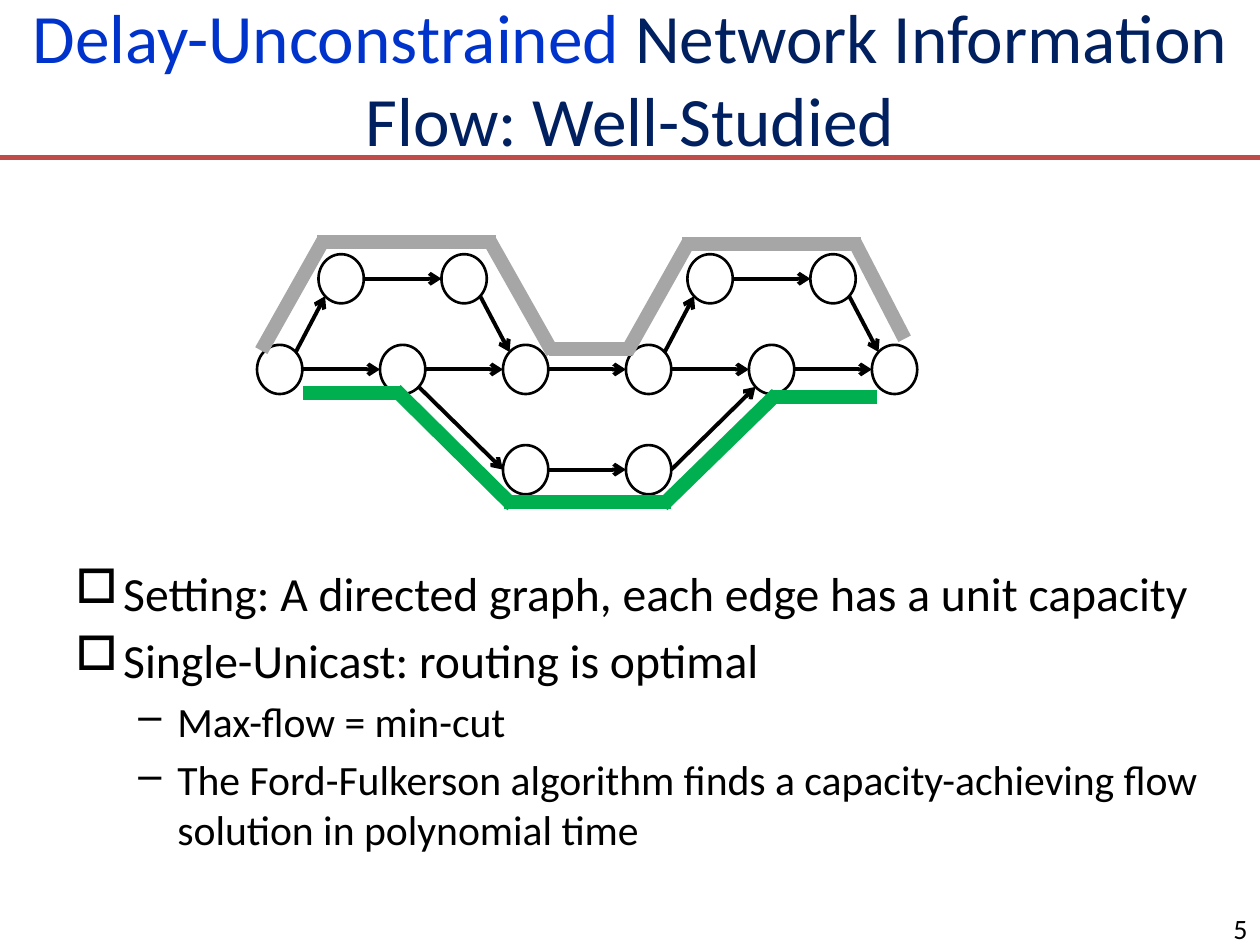
from itertools import pairwise
from pptx import Presentation, util as u
from pptx.dml.color import RGBColor
from pptx.enum import shapes, text
from pptx.oxml.ns import qn
from lxml import etree

W, H = u.Inches(10), u.Inches(7.5)
HUES = {"ink": "000000", "navy": "002060", "blue": "0033CC",
        "rule": "BF4C48", "green": "00B050", "gray": "A6A6A6"}
ROWS = {"top": 0, "mid": 0.475, "low": 1}
NODES = {"top": (1, 3, 7, 9), "mid": (0, 2, 4, 6, 8, 10), "low": (4, 6)}
SIDES = {"E": (1, 0), "W": (-1, 0), "NE": (0.71, -0.71), "NW": (-0.71, -0.71),
         "SE": (0.71, 0.71), "SW": (-0.71, 0.71)}
SLOPES = [((0, "mid", "NE"), (1, "top", "SW")),
          ((3, "top", "SE"), (4, "mid", "NW")),
          ((6, "mid", "NE"), (7, "top", "SW")),
          ((9, "top", "SE"), (10, "mid", "NW")),
          ((2, "mid", "SE"), (4, "low", "W")),
          ((6, "low", "E"), (8, "mid", "SW"))]
ROUTES = {
    "green": [(0.43, 0.6), (1.94, 0.6), (3.73, 1.17), (6.28, 1.17),
              (8.03, 0.62), (9.67, 0.62)],
    "gray": [(-0.27, 0.36), (0.69, -0.19), (3.43, -0.19), (4.41, 0.37),
             (5.67, 0.37), (6.63, -0.18), (9.37, -0.18), (10.14, 0.3)]}
POINTS = [(0, "Setting: A directed graph, each edge has a unit capacity"),
          (0, "Single-Unicast: routing is optimal"),
          (1, "Max-flow = min-cut"),
          (1, "The Ford-Fulkerson algorithm finds a capacity-achieving flow "
              "solution in polynomial time")]
LEVELS = [("□", 27.2, 0.38, -0.38), ("–", 23.8, 0.81, -0.31)]


def color(name):
    """Return the named colour."""
    return RGBColor.from_string(HUES[name])


def scale(x, y, w, h):
    """Turn shares of the slide into a box of lengths."""
    return int(x * W), int(y * H), int(w * W), int(h * H)


def style(font, size, hue):
    """Set the face, size and colour of a font."""
    font.name, font.size = "Calibri", u.Pt(size)
    font.color.rgb = color(hue)


def frame(slide, box, anchor):
    """Add a wrapping text box and return its text frame."""
    body = slide.shapes.add_textbox(*box).text_frame
    body.word_wrap, body.vertical_anchor = True, anchor
    return body


def line(slide, start, end, hue, width, arrow=False):
    """Draw a straight line, with an arrowhead if asked."""
    ends = [int(n) for n in (*start, *end)]
    link = slide.shapes.add_connector(shapes.MSO_CONNECTOR.STRAIGHT, *ends)
    link.line.color.rgb, link.line.width = color(hue), u.Pt(width)
    if arrow:
        etree.SubElement(link.line._get_or_add_ln(), qn("a:tailEnd"), type="arrow")
    etree.SubElement(link._element.spPr, qn("a:effectLst"))


def title(slide, box):
    """Place the two-tone title and the rule below it."""
    x, y, w, h = box
    para = frame(slide, box, text.MSO_ANCHOR.MIDDLE).paragraphs[0]
    para.alignment = text.PP_ALIGN.CENTER
    for words, hue in (("Delay-Unconstrained", "blue"),
                       (" Network Information Flow: Well-Studied", "navy")):
        run = para.add_run()
        run.text = words
        style(run.font, 39.6, hue)
    base = y + h * 1.025
    line(slide, (x, base), (x + w, base), "rule", 3)


def graph(slide, box):
    """Draw the nodes, the edges and the two routes on a grid of centres."""
    x, y, w, h = box
    col, rx, ry = w / 10, u.Inches(0.18), u.Inches(0.195)

    def spot(c, r):
        return x + c * col, y + r * h

    def port(c, row, side):
        cx, cy = spot(c, ROWS[row])
        dx, dy = SIDES[side]
        return cx + dx * rx, cy + dy * ry

    for row, cols in NODES.items():
        for c in cols:
            cx, cy = spot(c, ROWS[row])
            node = slide.shapes.add_shape(
                shapes.MSO_SHAPE.OVAL, int(cx - rx), int(cy - ry), 2 * rx, 2 * ry)
            node.shadow.inherit = False
            node.fill.background()
            node.line.color.rgb, node.line.width = color("ink"), u.Pt(1.5)
    flats = [((a, row, "E"), (b, row, "W")) for row, cols in NODES.items()
             for a, b in pairwise(cols) if b - a == 2]
    for start, end in flats + SLOPES:
        line(slide, port(*start), port(*end), "ink", 2.25, True)
    for hue, stops in ROUTES.items():
        for (a, b), (c, d) in pairwise(stops):
            dx, dy = 0.03 * (c - a), 0.03 * (d - b)
            line(slide, spot(a - dx, b - dy), spot(c + dx, d + dy), hue, 8)


def points(slide, box):
    """Write the bulleted list."""
    body = frame(slide, box, text.MSO_ANCHOR.TOP)
    for i, (level, words) in enumerate(POINTS):
        mark, size, left, hang = LEVELS[level]
        para = body.paragraphs[0] if i == 0 else body.add_paragraph()
        para.text, para.level = words, level
        para.space_before = u.Pt(0.2 * size if i else 0)
        props = para._p.get_or_add_pPr()
        props.set("marL", str(u.Inches(left)))
        props.set("indent", str(u.Inches(hang)))
        etree.SubElement(props, qn("a:buChar"), char=mark)
        style(para.font, size, "ink")


def number(slide, box):
    """Write the slide number."""
    para = frame(slide, box, text.MSO_ANCHOR.MIDDLE).paragraphs[0]
    para.text, para.alignment = "5", text.PP_ALIGN.RIGHT
    style(para.font, 16, "ink")


def main():
    """Build and save the slide."""
    deck = Presentation()
    deck.slide_width, deck.slide_height = W, H
    slide = deck.slides.add_slide(deck.slide_layouts[6])
    title(slide, scale(0, 0, 1, 0.163))
    points(slide, scale(0.05, 0.59, 0.917, 0.344))
    number(slide, scale(0.767, 0.964, 0.233, 0.036))
    graph(slide, scale(0.222, 0.295, 0.488, 0.202))
    deck.save("out.pptx")


if __name__ == "__main__":
    main()
